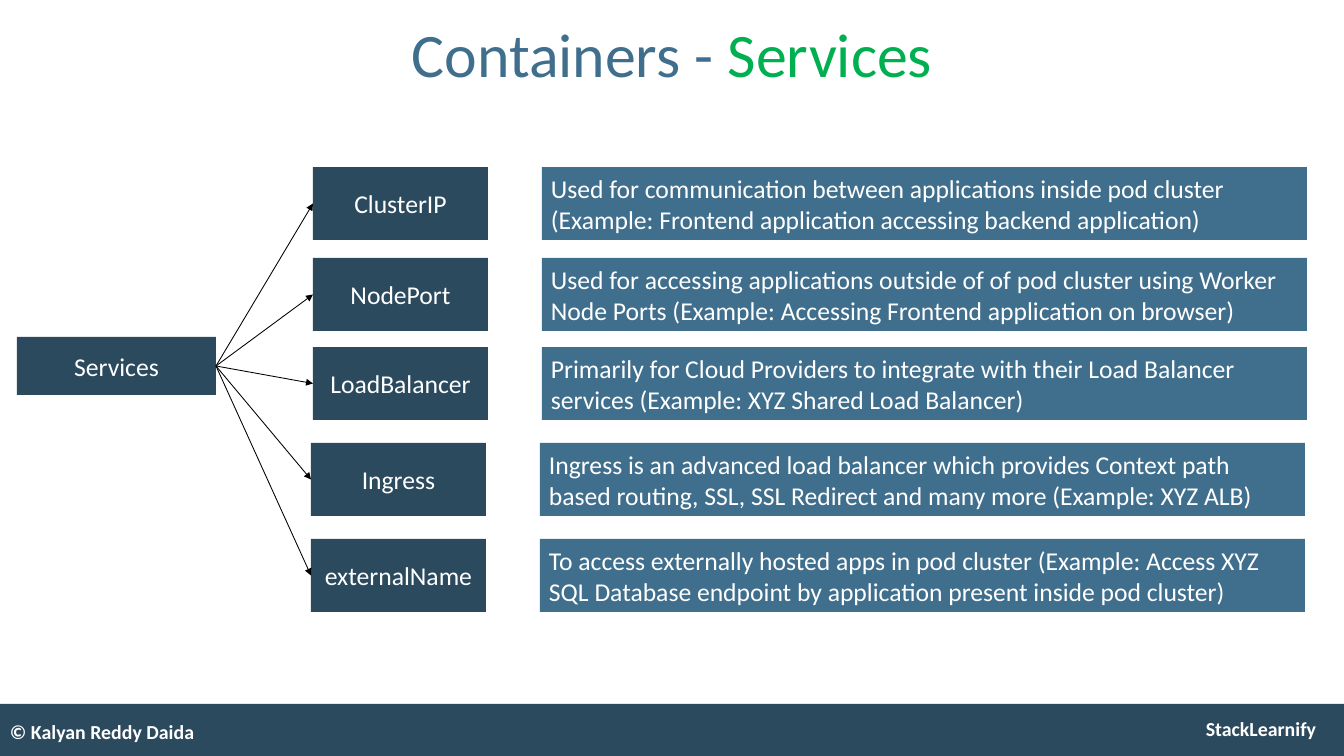
from pptx import Presentation, util as u
from pptx.dml.color import RGBColor
from pptx.enum import shapes, text
from pptx.oxml.ns import qn
from lxml import etree

PX = u.Inches(1) / 84
NAVY = RGBColor(0x2B, 0x4A, 0x5E)
STEEL = RGBColor(0x40, 0x6F, 0x8D)
GREEN = RGBColor(0x00, 0xB0, 0x50)
WHITE = RGBColor(0xFF, 0xFF, 0xFF)
BLACK = RGBColor(0, 0, 0)
LEFT, CENTER = text.PP_ALIGN.LEFT, text.PP_ALIGN.CENTER


def px(*lengths):
    return [u.Emu(round(length * PX)) for length in lengths]


def write(box, *pieces, size=22, bold=False, align=CENTER, inset=(9, 4)):
    """Fill a box with one paragraph of (wording, colour) pieces."""
    frame = box.text_frame
    frame.word_wrap = True
    frame.auto_size = text.MSO_AUTO_SIZE.NONE
    frame.vertical_anchor = text.MSO_ANCHOR.MIDDLE
    frame.margin_left, frame.margin_top = px(*inset)
    frame.margin_right, frame.margin_bottom = px(*inset)
    para = frame.paragraphs[0]
    para.alignment = align
    for wording, colour in pieces:
        span = para.add_run()
        span.text = wording
        span.font.name = "Calibri"
        span.font.size = u.Pt(size)
        span.font.bold = bold
        span.font.color.rgb = colour
    return para


deck = Presentation()
deck.slide_width, deck.slide_height = px(1344, 756)
page = deck.slides.add_slide(deck.slide_layouts[5])

# Title
title = page.shapes.title
title.left, title.top, title.width, title.height = px(92, 3, 1160, 109)
heading = write(title, ("Containers - ", STEEL), ("Services", GREEN),
                size=53, inset=(10, 5))
heading.line_spacing = 0.9

# Filled boxes: footer band, root, then each service type and its use
SERVICES = [
    (313, 167, "ClusterIP",
     "Used for communication between applications inside pod cluster "
     "(Example: Frontend application accessing backend application)"),
    (313, 258, "NodePort",
     "Used for accessing applications outside of of pod cluster using Worker "
     "Node Ports (Example: Accessing Frontend application on browser)"),
    (313, 347, "LoadBalancer",
     "Primarily for Cloud Providers to integrate with their Load Balancer "
     "services (Example: XYZ Shared Load Balancer)"),
    (311, 443, "Ingress",
     "Ingress is an advanced load balancer which provides Context path "
     "based routing, SSL, SSL Redirect and many more (Example: XYZ ALB)"),
    (311, 539, "externalName",
     "To access externally hosted apps in pod cluster (Example: Access XYZ "
     "SQL Database endpoint by application present inside pod cluster)"),
]
blocks = [(-2, 704, 1346, 52, NAVY, "", CENTER),
          (17, 337, 199, 58, NAVY, "Services", CENTER)]
for left, top, name, use in SERVICES:
    blocks.append((left, top, 175, 73, NAVY, name, CENTER))
    blocks.append((left + 229, top, 765, 73, STEEL, use, LEFT))

boxes = []
for left, top, width, height, colour, wording, align in blocks:
    box = page.shapes.add_shape(shapes.MSO_SHAPE.RECTANGLE,
                                *px(left, top, width, height))
    box.shadow.inherit = False
    box.fill.solid()
    box.fill.fore_color.rgb = colour
    box.line.fill.background()
    if wording:
        write(box, (wording, WHITE), align=align)
    boxes.append(box)

# Arrows from the root's right side to each type's left side
root = boxes[1]
for target in boxes[2::2]:
    arrow = page.shapes.add_connector(shapes.MSO_CONNECTOR.STRAIGHT, 0, 0, 0, 0)
    arrow.begin_connect(root, 3)
    arrow.end_connect(target, 1)
    arrow.line.color.rgb = BLACK
    arrow.line.width = u.Pt(0.75)
    etree.SubElement(arrow.line._get_or_add_ln(), qn("a:tailEnd"), type="triangle")
    etree.SubElement(arrow._element.spPr, qn("a:effectLst"))

# Footer texts
for left, top, width, wording, align in [
    (1181, 709, 160, "StackLearnify", CENTER),
    (0, 712, 454, "© Kalyan Reddy Daida", LEFT),
]:
    footer = page.shapes.add_textbox(*px(left, top, width, 40))
    write(footer, (wording, WHITE), size=17, bold=True, align=align, inset=(10, 5))

deck.save("out.pptx")
